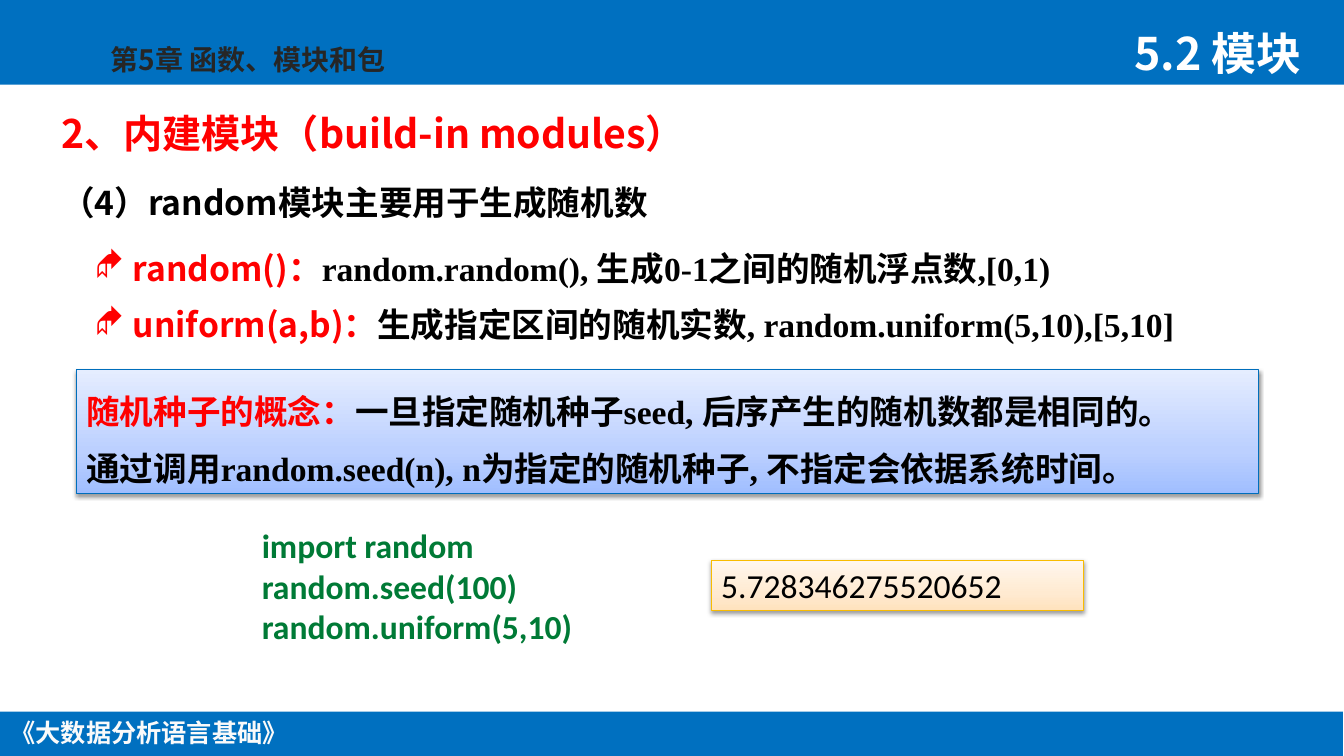
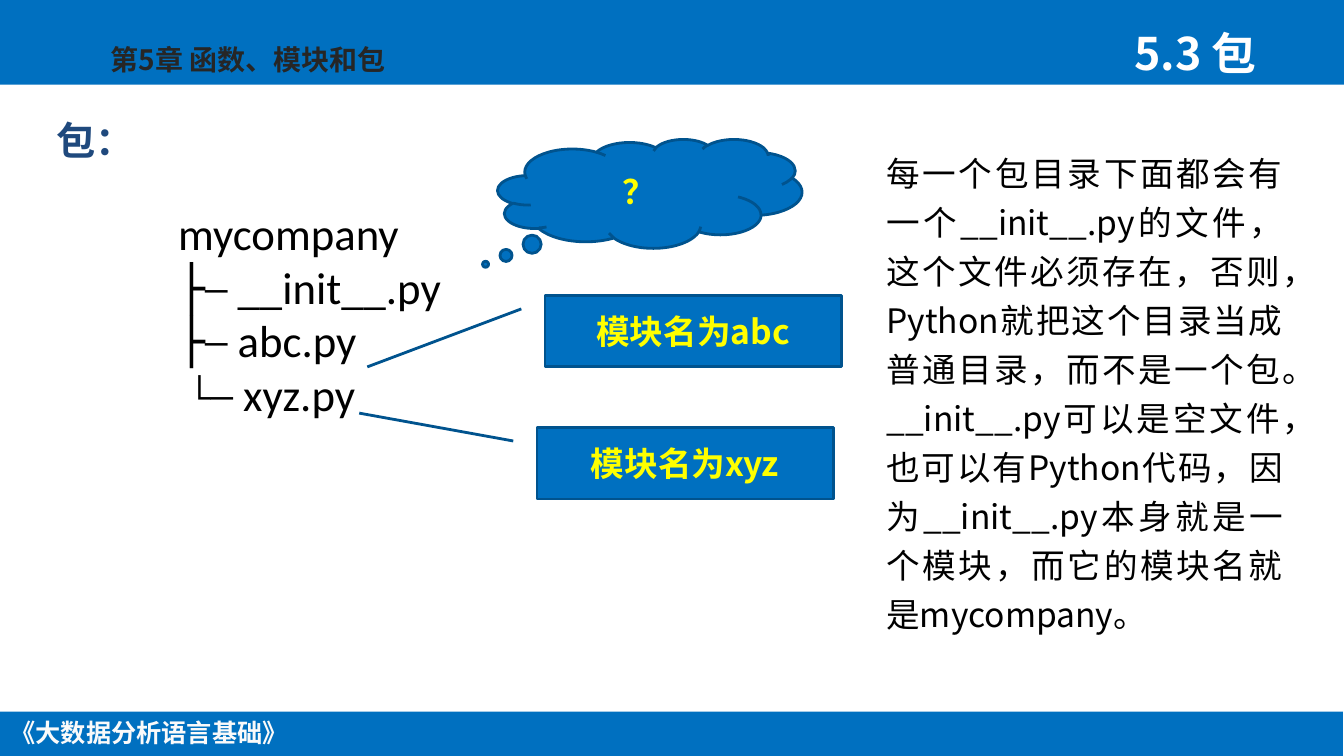
import lxml.etree
import pptx
import pptx.dml.color
import pptx.enum.shapes
import pptx.enum.text
import pptx.oxml
import pptx.oxml.ns
import pptx.util

PX = 9144
WIDTH, HEIGHT = 1334, 750
COLORS = {
    "blue": "0070C0", "edge": "00538E", "white": "FFFFFF", "footer": "FAFAFA",
    "chapter": "262626", "red": "FF0000", "black": "000000", "green": "007A36",
    "navy": "1F497D", "yellow": "FFFF00", "seed_edge": "006EBC", "result_edge": "F9BC00",
}
GRADIENTS = {
    "seed": {0: "A0BEFF", 35: "BCD0FF", 100: "E5EDFF"},
    "result": {0: "FFE2BD", 35: "FFEAD1", 100: "FFF7EE"},
}
CJK, SERIF, SANS = "Noto Sans CJK SC", "Times New Roman", "Calibri"
STYLES = {
    "footer": (CJK, "footer", {"size": 18, "bold": True}),
    "chapter": (CJK, "chapter", {"size": 20, "bold": True}),
    "section": (CJK, "white", {"size": 32, "bold": True}),
    "heading": (CJK, "red", {"size": 28, "bold": True}),
    "package": (CJK, "navy", {"size": 28, "bold": True}),
    "topic": (CJK, "black", {"size": 24, "bold": True}),
    "term": (CJK, "red", {"size": 24, "bold": True}),
    "detail": (SERIF, "black", {"size": 24, "bold": True}),
    "code": (SANS, "green", {"size": 24, "bold": True}),
    "result": (SANS, "black", {"size": 24, "bold": False}),
    "tree": (SANS, "black", {"size": 32, "bold": False}),
    "callout": (CJK, "yellow", {"size": 24, "bold": True}),
    "note": (CJK, "black", {"size": 24, "bold": False}),
}
NS = pptx.oxml.ns.nsdecls("a")
SHAPE = pptx.enum.shapes.MSO_SHAPE
ALIGN = pptx.enum.text.PP_ALIGN
ANCHOR = pptx.enum.text.MSO_ANCHOR
LOOSE = {"line_spacing": 1.4}
JUSTIFIED = {"alignment": ALIGN.JUSTIFY, "line_spacing": 1.4}
CENTERED = {"alignment": ALIGN.CENTER}


def write(slide, box, paragraphs, layout={}, wrap=True, anchor=ANCHOR.TOP, shape=None):
    if shape is None:
        shape = slide.shapes.add_textbox(*[n * PX for n in box])
    frame = shape.text_frame
    frame.word_wrap = wrap
    frame.vertical_anchor = anchor
    for index, runs in enumerate(paragraphs):
        paragraph = frame.add_paragraph() if index else frame.paragraphs[0]
        for key, value in {"alignment": ALIGN.LEFT, **layout}.items():
            setattr(paragraph, key, value)
        for text, style in runs:
            run = paragraph.add_run()
            run.text = text
            face, color, formats = STYLES[style]
            for key, value in {**formats, "name": face}.items():
                setattr(run.font, key, pptx.util.Pt(value) if key == "size" else value)
            run.font.color.rgb = pptx.dml.color.RGBColor.from_string(COLORS[color])
            east_asian = lxml.etree.SubElement(run.font._element, pptx.oxml.ns.qn("a:ea"))
            east_asian.set("typeface", CJK)
    return shape


def draw(slide, kind, box, fill, edge=None, weight=0, adjust=()):
    shape = slide.shapes.add_shape(kind, *[n * PX for n in box])
    shape.shadow.inherit = False
    for index, value in enumerate(adjust):
        shape.adjustments[index] = value
    if edge:
        shape.line.color.rgb = pptx.dml.color.RGBColor.from_string(COLORS[edge])
        shape.line.width = pptx.util.Pt(weight)
    else:
        shape.line.fill.background()
    if fill in COLORS:
        shape.fill.solid()
        shape.fill.fore_color.rgb = pptx.dml.color.RGBColor.from_string(COLORS[fill])
        return shape
    stops = "".join(
        f'<a:gs pos="{position * 1000}"><a:srgbClr val="{color}"/></a:gs>'
        for position, color in GRADIENTS[fill].items())
    properties = shape._element.spPr
    properties.find(pptx.oxml.ns.qn("a:prstGeom")).addnext(pptx.oxml.parse_xml(
        f'<a:gradFill {NS} rotWithShape="1"><a:gsLst>{stops}</a:gsLst>'
        '<a:lin ang="16200000" scaled="1"/></a:gradFill>'))
    properties.find(pptx.oxml.ns.qn("a:effectLst")).append(pptx.oxml.parse_xml(
        f'<a:outerShdw {NS} blurRad="40000" dist="20000" dir="5400000" rotWithShape="0">'
        '<a:srgbClr val="000000"><a:alpha val="38000"/></a:srgbClr></a:outerShdw>'))
    return shape


deck = pptx.Presentation()
deck.slide_width, deck.slide_height = WIDTH * PX, HEIGHT * PX

slides = []
for section in ("5.2 模块", "5.3 包"):
    slide = deck.slides.add_slide(deck.slide_layouts[6])
    draw(slide, SHAPE.RECTANGLE, (0, 0, WIDTH, 84), "blue")
    draw(slide, SHAPE.RECTANGLE, (-1, 706, WIDTH, 45), "blue")
    write(slide, (-1, 707, 298, 40), [[("《大数据分析语言基础》", "footer")]], CENTERED, wrap=False)
    chapter = write(slide, (100, 37, 378, 44), [[("第5章 函数、模块和包", "chapter")]])
    chapter.text_frame.paragraphs[0].runs[0].font._element.insert(0, pptx.oxml.parse_xml(
        f'<a:ln {NS} w="13462"><a:solidFill><a:srgbClr val="{COLORS["white"]}"/></a:solidFill></a:ln>'))
    write(slide, (1116, 21, 221, 64), [[(section, "section")]])
    slides.append(slide)
modules, packages = slides

write(modules, (51, 85, 1264, 76), [[("2、内建模块（build-in modules）", "heading")]], LOOSE)
write(modules, (51, 160, 1264, 66), [[("（4）random模块主要用于生成随机数", "topic")]], LOOSE)
functions = write(modules, (84, 225, 1173, 123), [
    [("random()：", "term"), ("random.random(), 生成0-1之间的随机浮点数,[0,1)", "detail")],
    [("uniform(a,b)：", "term"), ("生成指定区间的随机实数, random.uniform(5,10),[5,10]", "detail")],
], JUSTIFIED)
for paragraph in functions.text_frame.paragraphs:
    properties = paragraph._p.get_or_add_pPr()
    properties.set("marL", str(38 * PX))
    properties.set("indent", str(-38 * PX))
    for tag, key, value in (("a:buFont", "typeface", "Wingdings"), ("a:buChar", "char", "◆")):
        lxml.etree.SubElement(properties, pptx.oxml.ns.qn(tag)).set(key, value)

seed_box = (76, 367, 1173, 123)
write(modules, seed_box, [
    [("随机种子的概念：", "term"), ("一旦指定随机种子seed, 后序产生的随机数都是相同的。", "detail")],
    [("通过调用random.seed(n), n为指定的随机种子, 不指定会依据系统时间。", "detail")],
], JUSTIFIED, shape=draw(modules, SHAPE.RECTANGLE, seed_box, "seed", "seed_edge", 0.75))
write(modules, (250, 516, 328, 131), [
    [(line, "code")] for line in ("import random", "random.seed(100)", "random.uniform(5,10)")
], wrap=False)
result_box = (706, 556, 370, 50)
write(modules, result_box, [[("5.728346275520652", "result")]],
      shape=draw(modules, SHAPE.RECTANGLE, result_box, "result", "result_edge", 0.75))

write(packages, (46, 85, 516, 83), [[("包：", "package")]], {"line_spacing": 0.9}, anchor=ANCHOR.BOTTOM)
write(packages, (167, 199, 751, 226), [
    [(line, "tree")] for line in ("mycompany", "├─ __init__.py", "├─ abc.py", " └─ xyz.py")
])
for text, kind, box, adjust in (
    ("模块名为abc", SHAPE.LINE_CALLOUT_1, (541, 293, 294, 71), (0.19, -0.08, 1, -0.6)),
    ("模块名为xyz", SHAPE.LINE_CALLOUT_1, (533, 424, 294, 71), (0.19, -0.08, -0.2, -0.6)),
    ("？", SHAPE.CLOUD_CALLOUT, (494, 138, 302, 108), (-0.54, 0.65)),
):
    write(packages, box, [[(text, "callout")]], CENTERED, anchor=ANCHOR.MIDDLE,
          shape=draw(packages, kind, box, "blue", "edge", 2, adjust))
write(packages, (870, 138, 413, 497), [[(
    "每一个包目录下面都会有一个__init__.py的文件，这个文件必须存在，否则，"
    "Python就把这个目录当成普通目录，而不是一个包。__init__.py可以是空文件，"
    "也可以有Python代码，因为__init__.py本身就是一个模块，而它的模块名就是mycompany。", "note")]],
    {"alignment": ALIGN.JUSTIFY, "line_spacing": pptx.util.Pt(35)})

deck.save("out.pptx")
